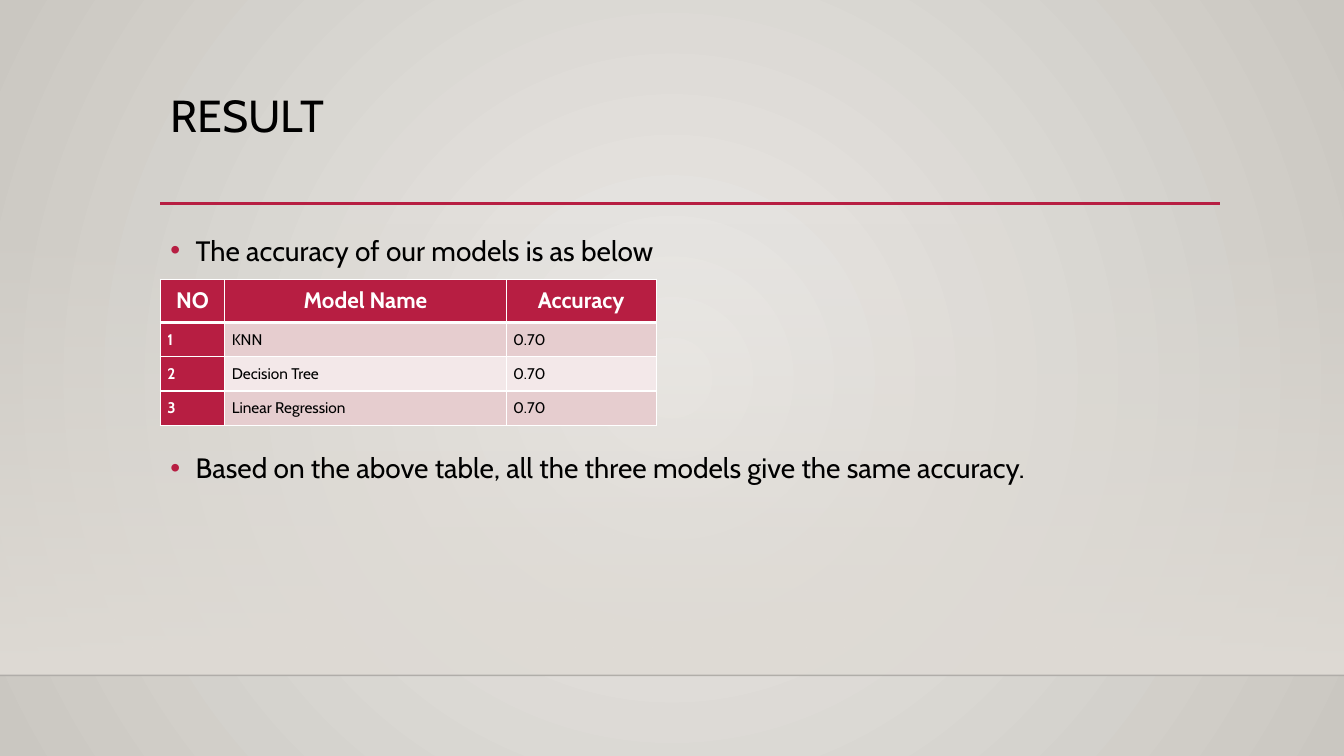
import pptx
import pptx.dml.color
import pptx.enum.shapes
import pptx.enum.text
import pptx.oxml
import pptx.oxml.ns
import pptx.util
from pptx.util import Inches

TITLE = "RESULT"
BULLETS = [  # text, space before in points (the second clears the table)
    ("The accuracy of our models is as below", 10),
    ("Based on the above table, all the three models give the same accuracy.", 126.5),
]
ROWS = [
    ("NO", "Model Name", "Accuracy"),
    ("1", "KNN", "0.70"),
    ("2", "Decision Tree", "0.70"),
    ("3", "Linear Regression", "0.70"),
]
COL_WIDTHS = [0.64, 2.79, 1.49]
ROW_HEIGHTS = [0.43, 0.34, 0.34, 0.34]

COLORS = {
    "accent": "B71E42", "text": "000000", "white": "FFFFFF",
    "band_dark": "E6CDCF", "band_light": "F3E8E9",
    "center": "ECEAE7", "edge": "CAC7C1", "floor": "DFDBD5", "shade": "000001",
}
FONT = "Cabin"
SLIDE_W, SLIDE_H = 13.33, 7.5
LEFT, CONTENT_W = 1.59, 10.5
FLOOR_Y, RULE_Y = 6.7, 2.02
ALIGN = pptx.enum.text.PP_ALIGN
ANCHOR = pptx.enum.text.MSO_ANCHOR


def rgb(name):
    return pptx.dml.color.RGBColor.from_string(COLORS[name])


def xml(text):
    """Parse a fragment whose outer tag carries the namespace mark {ns}."""
    return pptx.oxml.parse_xml(text.replace("{ns}", pptx.oxml.ns.nsdecls("a", "p")))


def add_text(p, text, size, color="text", bold=False, align=ALIGN.LEFT,
             line=None, before=None):
    p.alignment, p.line_spacing = align, line
    if before is not None:
        p.space_before = pptx.util.Pt(before)
    r = p.add_run()
    r.text = text
    r.font.name, r.font.size, r.font.bold = FONT, pptx.util.Pt(size), bold
    r.font.color.rgb = rgb(color)


def gradient(start, end, start_alpha, direction):
    return xml(
        '<a:gradFill {ns} rotWithShape="1"><a:gsLst>'
        f'<a:gs pos="0"><a:srgbClr val="{COLORS[start]}"><a:alpha val="{start_alpha}"/></a:srgbClr></a:gs>'
        f'<a:gs pos="100000"><a:srgbClr val="{COLORS[end]}"/></a:gs>'
        f'</a:gsLst>{direction}</a:gradFill>')


def add_background(s):
    bg = xml('<p:bg {ns}><p:bgPr><a:effectLst/></p:bgPr></p:bg>')
    circle = ('<a:path path="circle"><a:fillToRect l="50000" t="50000" '
              'r="50000" b="50000"/></a:path>')
    bg[0].insert(0, gradient("center", "edge", 100000, circle))
    s.element.cSld.insert(0, bg)


def add_wall(s):
    """Fading rectangle above the floor line, sent behind the text."""
    wall = s.shapes.add_shape(pptx.enum.shapes.MSO_SHAPE.RECTANGLE, 0, Inches(2.21),
                              Inches(SLIDE_W), Inches(FLOOR_Y - 2.21))
    wall.shadow.inherit = False
    wall.line.fill.background()
    wall.element.spPr.find(pptx.oxml.ns.qn("a:prstGeom")).addnext(
        gradient("floor", "floor", 0, '<a:lin ang="5400000" scaled="0"/>'))
    s.shapes.element.insert(2, wall.element)


def add_rule(s, x1, x2, y, color, width, alpha=100):
    rule = s.shapes.add_connector(pptx.enum.shapes.MSO_CONNECTOR.STRAIGHT,
                                  Inches(x1), Inches(y), Inches(x2), Inches(y))
    rule.line.color.rgb = rgb(color)
    rule.line.width = pptx.util.Pt(width)
    rule.element.spPr.append(xml("<a:effectLst {ns}/>"))
    if alpha < 100:
        clr = rule.element.spPr.find(".//" + pptx.oxml.ns.qn("a:srgbClr"))
        clr.append(xml(f'<a:alpha {{ns}} val="{alpha * 1000}"/>'))


def place(shape, top, height):
    shape.left, shape.top = Inches(LEFT), Inches(top)
    shape.width, shape.height = Inches(CONTENT_W), Inches(height)
    tf = shape.text_frame
    tf.word_wrap = True
    tf.auto_size = pptx.enum.text.MSO_AUTO_SIZE.NONE
    tf.vertical_anchor = ANCHOR.TOP
    return tf


def add_bullets(tf):
    for i, (text, before) in enumerate(BULLETS):
        p = tf.paragraphs[0] if i == 0 else tf.add_paragraph()
        add_text(p, text, 20, line=1.2, before=before)
        pPr = p._p.get_or_add_pPr()
        pPr.set("marL", str(Inches(0.25)))
        pPr.set("indent", str(-Inches(0.25)))
        pPr.append(xml(f'<a:buClr {{ns}}><a:srgbClr val="{COLORS["accent"]}"/></a:buClr>'))
        pPr.append(xml('<a:buFont {ns} typeface="Arial"/>'))
        pPr.append(xml('<a:buChar {ns} char="•"/>'))


def set_borders(cell, row):
    widths = {"L": 1, "R": 1, "T": 3 if row == 1 else 1, "B": 3 if row == 0 else 1}
    tcPr = cell._tc.get_or_add_tcPr()
    for i, (side, width) in enumerate(widths.items()):
        tcPr.insert(i, xml(
            f'<a:ln{side} {{ns}} w="{pptx.util.Pt(width)}"><a:solidFill>'
            f'<a:srgbClr val="{COLORS["white"]}"/></a:solidFill></a:ln{side}>'))


def add_results(s):
    table = s.shapes.add_table(len(ROWS), len(COL_WIDTHS), Inches(LEFT), Inches(2.77),
                               Inches(sum(COL_WIDTHS)), Inches(sum(ROW_HEIGHTS))).table
    for col, width in zip(table.columns, COL_WIDTHS):
        col.width = Inches(width)
    for r, (values, height) in enumerate(zip(ROWS, ROW_HEIGHTS)):
        table.rows[r].height = Inches(height)
        for c, text in enumerate(values):
            cell = table.cell(r, c)
            head = r == 0 or c == 0
            cell.fill.solid()
            cell.fill.fore_color.rgb = rgb(
                "accent" if head else "band_dark" if r % 2 else "band_light")
            cell.margin_left = cell.margin_right = Inches(0.07)
            cell.margin_top = cell.margin_bottom = 0
            cell.vertical_anchor = ANCHOR.MIDDLE
            add_text(cell.text_frame.paragraphs[0], text, 11 if r else 16,
                     color="white" if head else "text", bold=head,
                     align=ALIGN.LEFT if r else ALIGN.CENTER)
            set_borders(cell, r)


def main():
    prs = pptx.Presentation()
    prs.slide_width, prs.slide_height = Inches(SLIDE_W), Inches(SLIDE_H)
    s = prs.slides.add_slide(prs.slide_layouts[1])
    add_background(s)
    add_wall(s)
    add_rule(s, 0, SLIDE_W, FLOOR_Y, "shade", 1, alpha=20)
    add_rule(s, LEFT, 12.1, RULE_Y, "accent", 2.5)
    title = place(s.shapes.title, 0.88, 1.15)
    add_text(title.paragraphs[0], TITLE, 32, line=0.9)
    add_bullets(place(s.placeholders[1], 2.2, 3.77))
    add_results(s)
    prs.save("out.pptx")


if __name__ == "__main__":
    main()
